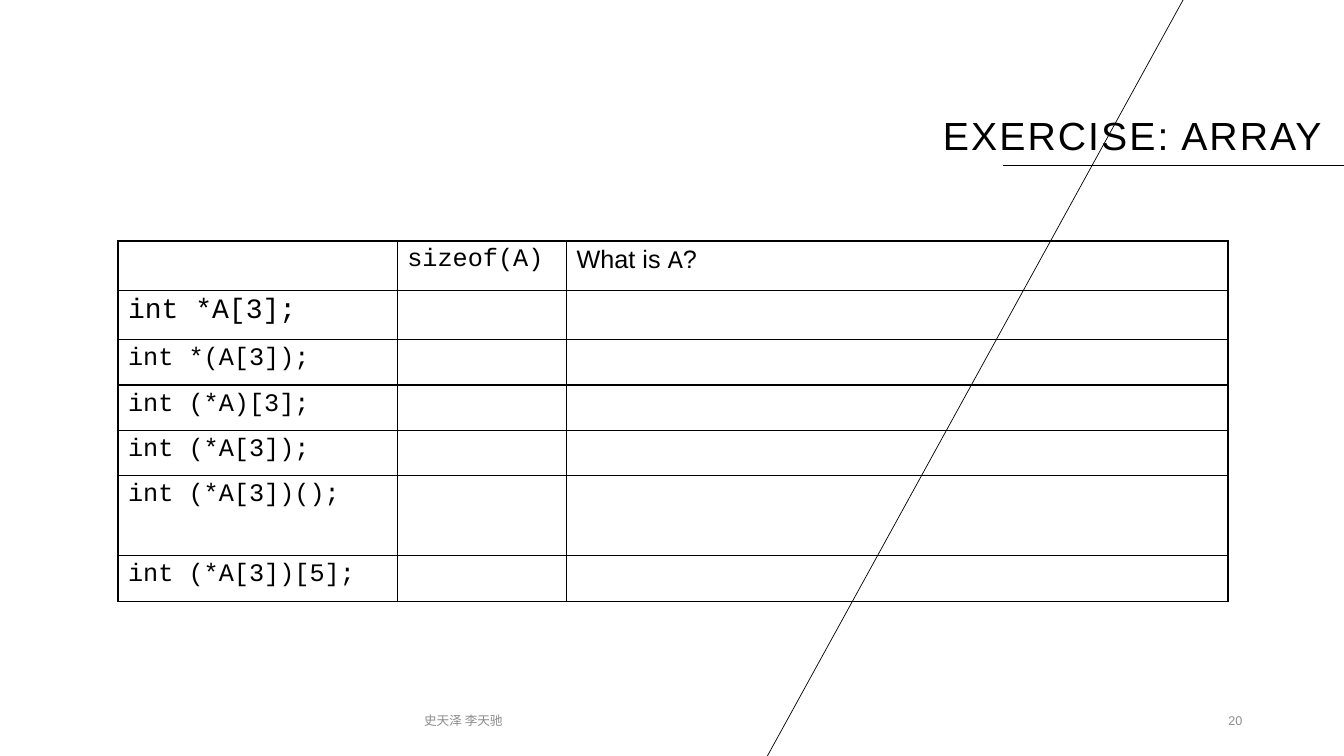
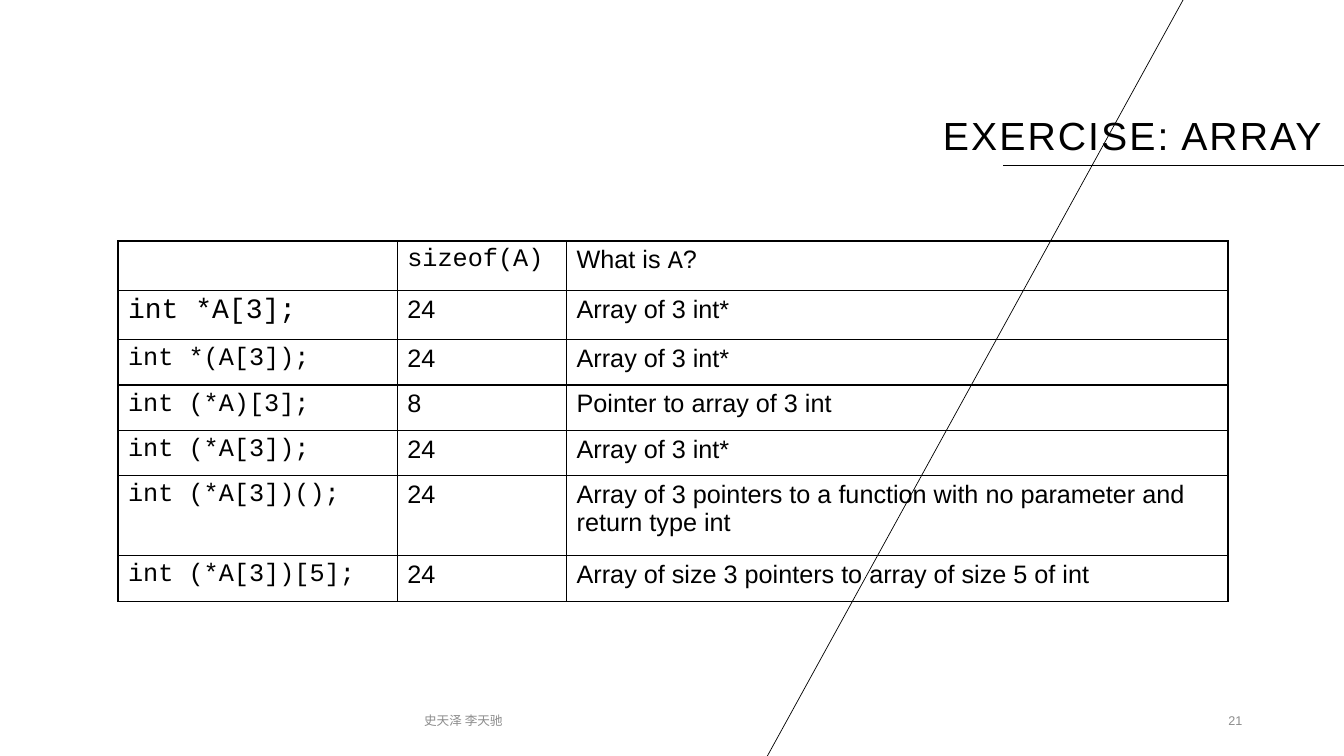
from dataclasses import dataclass

from lxml import etree
from pptx import Presentation
from pptx.dml.color import RGBColor
from pptx.enum.shapes import MSO_CONNECTOR
from pptx.enum.text import MSO_ANCHOR, PP_ALIGN
from pptx.oxml.ns import qn
from pptx.util import Inches, Pt

STRAIGHT = MSO_CONNECTOR.STRAIGHT
LEFT, CENTER, RIGHT = PP_ALIGN.LEFT, PP_ALIGN.CENTER, PP_ALIGN.RIGHT
MIDDLE, BOTTOM = MSO_ANCHOR.MIDDLE, MSO_ANCHOR.BOTTOM

BLACK, GRAY = "000000", "8C8C8C"
SANS, MONO = "Arial", "Courier New"
BLANK_LAYOUT = 6

COLUMN_WIDTHS = (2.77, 1.68, 6.56)
ROW_HEIGHTS = (0.49, 0.49, 0.45, 0.45, 0.45, 0.79, 0.46)


@dataclass(frozen=True)
class TextStyle:
    size: float
    font: str = SANS
    color: str = BLACK
    spacing: float = 0


@dataclass(frozen=True)
class Label:
    left: float
    top: float
    width: float
    height: float
    style: TextStyle
    align: PP_ALIGN
    anchor: MSO_ANCHOR
    line_spacing: float = 1.0


@dataclass(frozen=True)
class Declaration:
    code: str
    size_of: str
    meaning: str
    font_size: float = 18


BODY = TextStyle(18)
CODE = TextStyle(18, MONO)
FOOTER = TextStyle(9, color=GRAY)

TITLE_LABEL = Label(6.8, 0.96, 6.41, 0.67, TextStyle(28, spacing=1.5), RIGHT, BOTTOM, 0.9)
AUTHOR_LABEL = Label(2.69, 6.95, 3.81, 0.4, FOOTER, CENTER, MIDDLE)
NUMBER_LABEL = Label(9.42, 6.95, 3, 0.4, FOOTER, RIGHT, MIDDLE)

HEADER = (
    (),
    (("sizeof(A)", CODE),),
    (("What is ", BODY), ("A", CODE), ("?", BODY)),
)
DECLARATIONS = (
    Declaration("int *A[3];", "24", "Array of 3 int*", 20),
    Declaration("int *(A[3]);", "24", "Array of 3 int*"),
    Declaration("int (*A)[3];", "8", "Pointer to array of 3 int"),
    Declaration("int (*A[3]);", "24", "Array of 3 int*"),
    Declaration("int (*A[3])();", "24",
                "Array of 3 pointers to a function with no parameter and return type int"),
    Declaration("int (*A[3])[5];", "24", "Array of size 3 pointers to array of size 5 of int"),
)


def rgb(color: str) -> RGBColor:
    return RGBColor.from_string(color)


def add_run(paragraph, text: str, style: TextStyle) -> None:
    run = paragraph.add_run()
    run.text = text
    run.font.size = Pt(style.size)
    run.font.name = style.font
    run.font.color.rgb = rgb(style.color)
    if style.spacing:
        run.font._element.set("spc", str(int(style.spacing * 100)))


def add_label(slide, label: Label, text: str) -> None:
    shape = slide.shapes.add_textbox(Inches(label.left), Inches(label.top),
                                     Inches(label.width), Inches(label.height))
    frame = shape.text_frame
    frame.word_wrap = True
    frame.vertical_anchor = label.anchor
    paragraph = frame.paragraphs[0]
    paragraph.alignment = label.align
    paragraph.line_spacing = label.line_spacing
    add_run(paragraph, text, label.style)


def add_line(slide, x1: float, y1: float, x2: float, y2: float) -> None:
    line = slide.shapes.add_connector(STRAIGHT, Inches(x1), Inches(y1), Inches(x2), Inches(y2))
    line.line.color.rgb = rgb(BLACK)
    line.line.width = Pt(0.5)
    etree.SubElement(line._element.spPr, qn("a:effectLst"))


def set_borders(cell, color: str, width: float) -> None:
    properties = cell._tc.get_or_add_tcPr()
    for side in ("a:lnL", "a:lnR", "a:lnT", "a:lnB"):
        border = etree.SubElement(properties, qn(side), w=str(Pt(width)))
        fill = etree.SubElement(border, qn("a:solidFill"))
        etree.SubElement(fill, qn("a:srgbClr"), val=color)


def table_rows(show_answers: bool) -> list:
    rows = [HEADER]
    for item in DECLARATIONS:
        code = ((item.code, TextStyle(item.font_size, MONO)),)
        answers = (item.size_of, item.meaning)
        rows.append((code, *(((text, BODY),) if show_answers else () for text in answers)))
    return rows


def add_exercise_table(slide, show_answers: bool) -> None:
    frame = slide.shapes.add_table(len(ROW_HEIGHTS), len(COLUMN_WIDTHS), Inches(1.17), Inches(2.39),
                                   Inches(sum(COLUMN_WIDTHS)), Inches(sum(ROW_HEIGHTS)))
    table = frame.table
    table.first_row = False
    table.horz_banding = False
    for column, width in zip(table.columns, COLUMN_WIDTHS):
        column.width = Inches(width)
    for row, height, contents in zip(table.rows, ROW_HEIGHTS, table_rows(show_answers)):
        row.height = Inches(height)
        for cell, runs in zip(row.cells, contents):
            set_borders(cell, BLACK, 1)
            cell.fill.background()
            paragraph = cell.text_frame.paragraphs[0]
            paragraph.alignment = LEFT
            for text, style in runs:
                add_run(paragraph, text, style)


def add_exercise_slide(presentation, number: int, show_answers: bool) -> None:
    slide = presentation.slides.add_slide(presentation.slide_layouts[BLANK_LAYOUT])
    # Title rule and diagonal
    add_line(slide, 9.95, 1.64, 13.33, 1.64)
    add_line(slide, 11.75, -0.03, 7.6, 7.52)
    # Title and footer
    add_label(slide, TITLE_LABEL, "EXERCISE: ARRAY")
    add_label(slide, AUTHOR_LABEL, "史天泽 李天驰")
    add_label(slide, NUMBER_LABEL, str(number))
    # Exercise
    add_exercise_table(slide, show_answers)


def main() -> None:
    presentation = Presentation()
    presentation.slide_width = Inches(13.33)
    presentation.slide_height = Inches(7.5)
    add_exercise_slide(presentation, 20, show_answers=False)
    add_exercise_slide(presentation, 21, show_answers=True)
    presentation.save("out.pptx")


if __name__ == "__main__":
    main()
